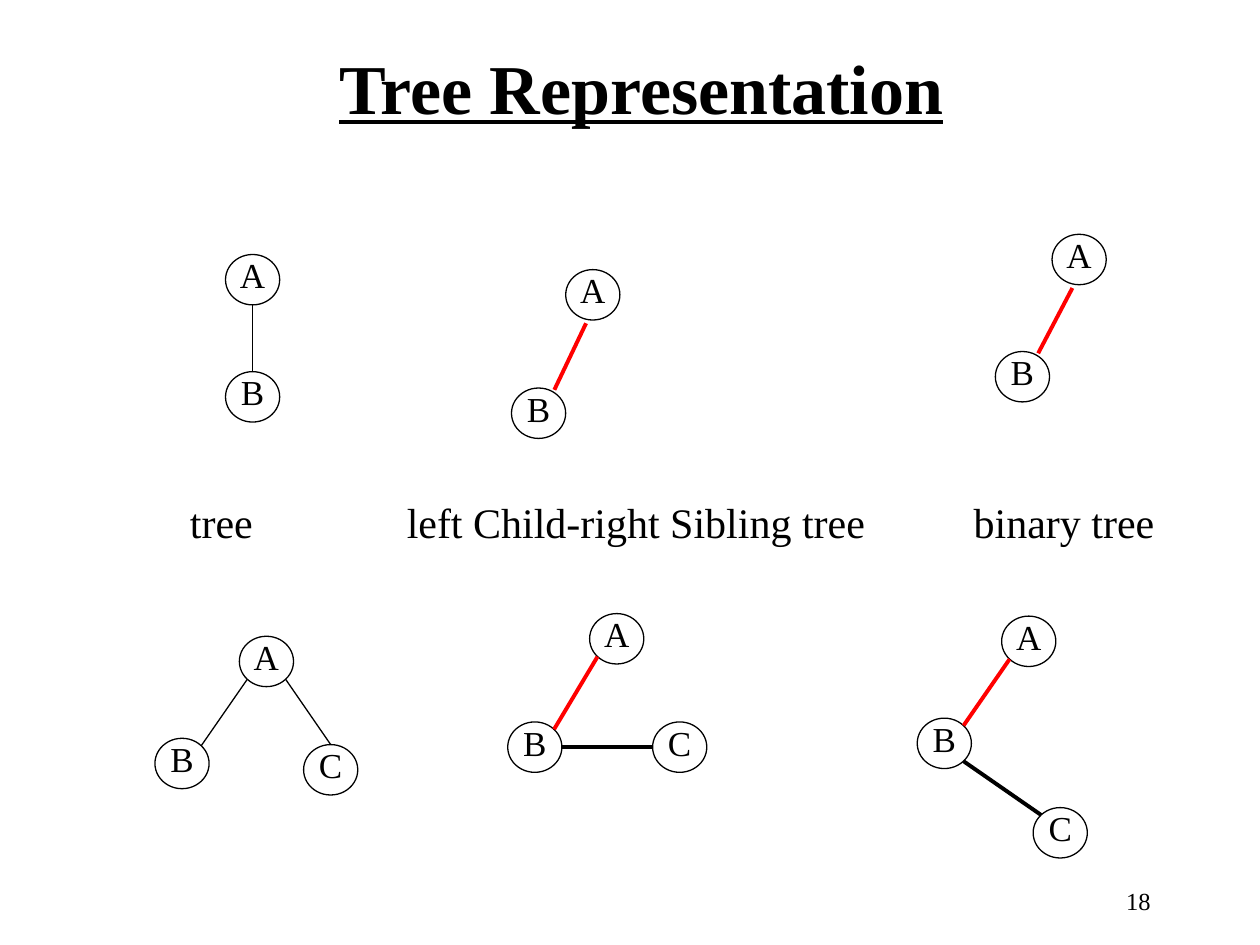
from lxml import etree
from pptx import Presentation
from pptx.dml.color import RGBColor
from pptx.enum.shapes import MSO_CONNECTOR, MSO_SHAPE
from pptx.enum.text import MSO_ANCHOR, PP_ALIGN
from pptx.oxml.ns import qn
from pptx.util import Inches, Pt

STRAIGHT = MSO_CONNECTOR.STRAIGHT
OVAL = MSO_SHAPE.OVAL
TOP, MIDDLE = MSO_ANCHOR.TOP, MSO_ANCHOR.MIDDLE
LEFT, CENTER, RIGHT = PP_ALIGN.LEFT, PP_ALIGN.CENTER, PP_ALIGN.RIGHT

BLACK = RGBColor(0, 0, 0)
RED = RGBColor(255, 0, 0)
FONT = "Times New Roman"
THIN, THICK = 0.75, 2.25

TITLE = "Tree Representation"
# text, left, top, width, size, alignment
LABELS = [
    ("tree", 1.41, 3.89, 1.33, 24, LEFT),
    ("left Child-right Sibling tree", 3.13, 3.89, 4.41, 24, LEFT),
    ("binary tree", 7.63, 3.89, 1.87, 24, LEFT),
    ("18", 7.15, 6.98, 2.08, 14, RIGHT),
]

# Each tree: node positions (left, top), then edges
# (parent, site on parent, child, site on child, colour, width)
TREES = [
    ({"A": (1.79, 2.02), "B": (1.79, 2.95)},
     [("A", "bottom", "B", "top", BLACK, THIN)]),
    ({"A": (4.49, 2.14), "B": (4.06, 3.08)},
     [("A", "below", "B", "above", RED, THICK)]),
    ({"A": (8.35, 1.86), "B": (7.9, 2.79)},
     [("A", "below", "B", "above", RED, THICK)]),
    ({"A": (1.9, 5.05), "B": (1.23, 5.86), "C": (2.41, 5.91)},
     [("A", "bottom left", "B", "top right", BLACK, THIN),
      ("A", "bottom right", "C", "top", BLACK, THIN)]),
    ({"A": (4.68, 4.87), "B": (4.03, 5.73), "C": (5.18, 5.73)},
     [("A", "bottom left", "B", "top right", RED, THICK),
      ("B", "right", "C", "left", BLACK, THICK)]),
    ({"A": (7.95, 4.89), "B": (7.28, 5.7), "C": (8.2, 6.41)},
     [("A", "bottom left", "B", "top right", RED, THICK),
      ("B", "bottom right", "C", "top left", BLACK, THICK)]),
]

NODE_WIDTH, NODE_HEIGHT = 0.43, 0.4
# Fractions of the node's half width and half height, from its centre
SITES = {
    "top": (0, -1), "bottom": (0, 1), "left": (-1, 0), "right": (1, 0),
    "top left": (-0.71, -0.71), "top right": (0.71, -0.71),
    "bottom left": (-0.71, 0.71), "bottom right": (0.71, 0.71),
    "below": (-0.25, 1.13), "above": (0.58, -0.93),
}


def write(text_frame, text, size, alignment):
    text_frame.text = text
    paragraph = text_frame.paragraphs[0]
    paragraph.alignment = alignment
    font = paragraph.runs[0].font
    font.name, font.size = FONT, Pt(size)
    font.color.rgb = BLACK
    return font


def add_title(slide):
    title = slide.shapes.title
    title.left, title.top = Inches(1.71), Inches(0.3)
    title.width, title.height = Inches(6.76), Inches(0.77)
    title.text_frame.vertical_anchor = MIDDLE
    font = write(title.text_frame, TITLE, 40, CENTER)
    font.bold = font.underline = True


def add_label(slide, text, left, top, width, size, alignment):
    box = slide.shapes.add_textbox(Inches(left), Inches(top), Inches(width), Inches(0.5))
    box.text_frame.word_wrap = True
    box.text_frame.vertical_anchor = TOP
    write(box.text_frame, text, size, alignment)


def add_node(slide, name, left, top):
    node = slide.shapes.add_shape(
        OVAL, Inches(left), Inches(top), Inches(NODE_WIDTH), Inches(NODE_HEIGHT))
    node.shadow.inherit = False
    node.fill.background()
    node.line.color.rgb = BLACK
    node.line.width = Pt(THIN)
    frame = node.text_frame
    frame.word_wrap = False
    frame.vertical_anchor = MIDDLE
    frame.margin_left = frame.margin_right = frame.margin_top = 0
    frame.margin_bottom = Inches(0.08)
    write(frame, name, 20, CENTER)


def site_point(position, site):
    left, top = position
    across, down = SITES[site]
    return (Inches(left + NODE_WIDTH / 2 * (1 + across)),
            Inches(top + NODE_HEIGHT / 2 * (1 + down)))


def add_edge(slide, start, end, color, width):
    edge = slide.shapes.add_connector(STRAIGHT, *start, *end)
    edge.line.color.rgb = color
    edge.line.width = Pt(width)
    etree.SubElement(edge._element.spPr, qn("a:effectLst"))


def main():
    presentation = Presentation()
    presentation.slide_width, presentation.slide_height = Inches(10), Inches(7.5)
    slide = presentation.slides.add_slide(presentation.slide_layouts[5])
    add_title(slide)
    for label in LABELS:
        add_label(slide, *label)
    for nodes, edges in TREES:
        for name, position in nodes.items():
            add_node(slide, name, *position)
        for parent, parent_site, child, child_site, color, width in edges:
            add_edge(slide, site_point(nodes[parent], parent_site),
                     site_point(nodes[child], child_site), color, width)
    presentation.save("out.pptx")


if __name__ == "__main__":
    main()
